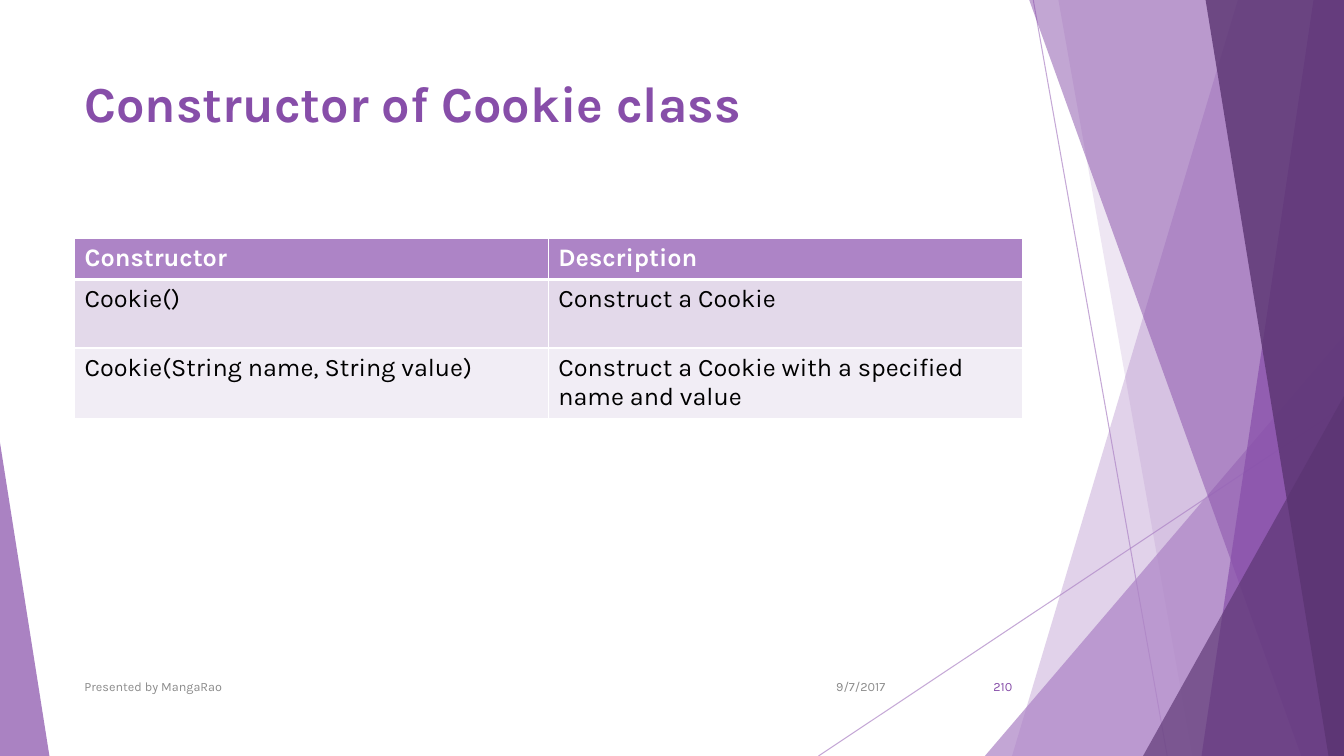
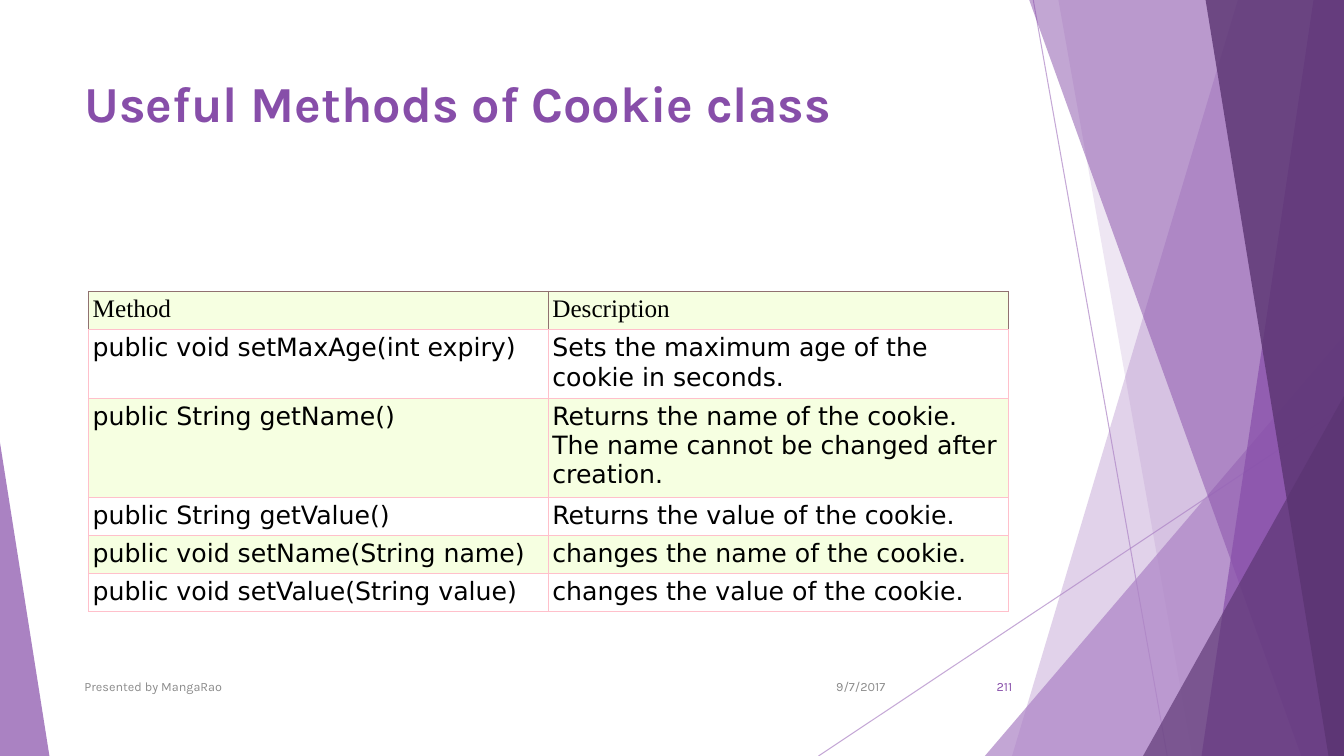
from dataclasses import dataclass

from lxml.etree import SubElement
from pptx import Presentation
from pptx.dml.color import RGBColor
from pptx.enum.shapes import MSO_CONNECTOR, MSO_SHAPE
from pptx.enum.text import MSO_ANCHOR, PP_ALIGN
from pptx.oxml.ns import qn
from pptx.slide import Slide
from pptx.table import _Cell
from pptx.text.text import TextFrame
from pptx.util import Emu, Inches, Pt

WIDE, HIGH = Inches(13.33), Inches(7.5)


@dataclass(frozen=True)
class Theme:
    light: str = "AD84C6"
    main: str = "874EA9"
    deep: str = "5A3471"
    white: str = "FFFFFF"
    black: str = "000000"
    gray: str = "8C8C8C"
    lilac: str = "E3D9EA"
    pale: str = "F1EDF5"
    lime: str = "F6FFE1"
    pink: str = "FFC0CB"
    brown: str = "907170"
    font: str = "Karla"
    serif: str = "Times New Roman"
    sans: str = "DejaVu Sans"
    title: int = 36
    body: int = 18
    small: int = 9


T = Theme()


# All places and lengths are percent shares of the slide's width or height.
@dataclass(frozen=True)
class Ray:
    start: tuple[float, float]
    end: tuple[float, float]


@dataclass(frozen=True)
class Band:
    """Area from a slanted left edge to the right side of the slide."""
    top: float
    foot: float
    color: str
    alpha: int


@dataclass(frozen=True)
class Wedge:
    """Triangle on the bottom edge, its apex at one end (0 left, 1 right)."""
    left: float
    top: float
    width: float
    apex: int
    color: str
    alpha: int


@dataclass(frozen=True)
class Label:
    left: float
    width: float
    color: str
    align: PP_ALIGN


@dataclass(frozen=True)
class Edge:
    color: str
    width: float


@dataclass(frozen=True)
class Look:
    """Table format; bands holds the fills that body rows take in turn."""
    head: str
    bands: tuple[str, str]
    ink: str
    bold: bool
    fonts: tuple[str, str]
    line: Edge
    rim: Edge
    rule: Edge
    inset: tuple[float, float]


@dataclass(frozen=True)
class Grid:
    left: float
    top: float
    width: float
    rows: tuple[float, ...]
    cells: tuple[tuple[str, str], ...]
    look: Look


@dataclass(frozen=True)
class Page:
    title: str
    number: int
    grid: Grid


RAYS = (Ray((76.88, 0), (86.85, 100)), Ray((100, 53.73), (60.9, 100)))
DECOR = (
    Band(92.1, 75.3, T.light, 36),
    Band(78.75, 88.73, T.light, 20),
    Wedge(73.28, 44.4, 26.72, 1, T.light, 72),
    Band(76.58, 96.83, T.main, 50),
    Band(97.73, 89.4, T.main, 70),
    Band(89.7, 98.85, T.deep, 80),
    Wedge(85.05, 52.4, 14.95, 1, T.deep, 66),
    Wedge(0, 58.53, 3.68, 0, T.main, 70),
)
DATE = Label(59.1, 7.5, T.gray, PP_ALIGN.RIGHT)
NAME = Label(5.55, 51.68, T.gray, PP_ALIGN.LEFT)
NUMBER = Label(70.43, 5.63, T.main, PP_ALIGN.RIGHT)

THIN = Edge(T.white, 1)
ROSE = Edge(T.pink, 0.6)
PURPLE = Look(T.light, (T.lilac, T.pale), T.white, True, (T.font, T.font),
              THIN, THIN, Edge(T.white, 3), (0.1, 0.05))
GREEN = Look(T.lime, (T.white, T.lime), T.black, False, (T.serif, T.sans),
             ROSE, Edge(T.brown, 0.6), ROSE, (0.04, 0.04))

PAGES = (
    Page("Constructor of Cookie class", 210, Grid(
        5.55, 31.5, 70.5, (5.47, 9.07, 9.07), (
            ("Constructor", "Description"),
            ("Cookie()", "Construct a Cookie"),
            ("Cookie(String name, String value)",
             "Construct a Cookie with a specified name and value"),
        ), PURPLE)),
    Page("Useful Methods of Cookie class", 211, Grid(
        6.6, 38.53, 68.4, (4.8, 8.8, 12.67, 4.93, 4.93, 4.93), (
            ("Method", "Description"),
            ("public void setMaxAge(int expiry)",
             "Sets the maximum age of the cookie in seconds."),
            ("public String getName()",
             "Returns the name of the cookie. "
             "The name cannot be changed after creation."),
            ("public String getValue()", "Returns the value of the cookie."),
            ("public void setName(String name)",
             "changes the name of the cookie."),
            ("public void setValue(String value)",
             "changes the value of the cookie."),
        ), GREEN)),
)


def across(share: float) -> Emu:
    return Emu(round(WIDE * share / 100))


def down(share: float) -> Emu:
    return Emu(round(HIGH * share / 100))


def tint(shape, alpha: int) -> None:
    """Make every plain colour of a shape see-through."""
    for color in shape._element.iter(qn("a:srgbClr")):
        SubElement(color, qn("a:alpha"), val=str(alpha * 1000))


def write(frame: TextFrame, text: str, *, size: int, color: str,
          font: str = T.font, bold: bool = False,
          align: PP_ALIGN = PP_ALIGN.LEFT) -> None:
    para = frame.paragraphs[0]
    para.alignment = align
    run = para.add_run()
    run.text = text
    run.font.name, run.font.size, run.font.bold = font, Pt(size), bold
    run.font.color.rgb = RGBColor.from_string(color)


def box(slide: Slide, left: float, top: float, width: float, height: float,
        anchor: MSO_ANCHOR) -> TextFrame:
    frame = slide.shapes.add_textbox(across(left), down(top), across(width),
                                     down(height)).text_frame
    frame.word_wrap = True
    frame.vertical_anchor = anchor
    return frame


def draw_ray(slide: Slide, ray: Ray) -> None:
    (x, y), (u, v) = ray.start, ray.end
    line = slide.shapes.add_connector(MSO_CONNECTOR.STRAIGHT, across(x),
                                      down(y), across(u), down(v))
    line.line.color.rgb = RGBColor.from_string(T.light)
    line.line.width = Pt(0.75)
    tint(line, 70)
    SubElement(line._element.spPr, qn("a:effectLst"))


def draw_decor(slide: Slide, part: Band | Wedge) -> None:
    if isinstance(part, Band):
        pen = slide.shapes.build_freeform(across(part.top), 0)
        pen.add_line_segments([(WIDE, 0), (WIDE, HIGH),
                               (across(part.foot), HIGH)], close=True)
        shape = pen.convert_to_shape()
    else:
        shape = slide.shapes.add_shape(
            MSO_SHAPE.ISOSCELES_TRIANGLE, across(part.left), down(part.top),
            across(part.width), down(100 - part.top))
        shape.adjustments[0] = part.apex
    shape.shadow.inherit = False
    shape.line.fill.background()
    shape.fill.solid()
    shape.fill.fore_color.rgb = RGBColor.from_string(part.color)
    tint(shape, part.alpha)


def outline(cell: _Cell, edges: dict[str, Edge]) -> None:
    props = cell._tc.get_or_add_tcPr()
    for side, edge in edges.items():
        line = SubElement(props, qn(f"a:ln{side}"), w=str(Pt(edge.width)))
        fill = SubElement(line, qn("a:solidFill"))
        SubElement(fill, qn("a:srgbClr"), val=edge.color)


def draw_grid(slide: Slide, grid: Grid) -> None:
    look = grid.look
    table = slide.shapes.add_table(
        len(grid.rows), 2, across(grid.left), down(grid.top),
        across(grid.width), down(sum(grid.rows))).table
    table.first_row = table.horz_banding = False
    for row, height in enumerate(grid.rows):
        table.rows[row].height = down(height)
        head = row == 0
        side = look.rim if head else look.line
        edges = {"L": side, "R": side,
                 "T": look.rim if head else
                 look.rule if row == 1 else look.line,
                 "B": look.rule if head else look.line}
        for col, text in enumerate(grid.cells[row]):
            cell = table.cell(row, col)
            outline(cell, edges)
            cell.fill.solid()
            cell.fill.fore_color.rgb = RGBColor.from_string(
                look.head if head else look.bands[(row - 1) % 2])
            cell.margin_left = cell.margin_right = Inches(look.inset[0])
            cell.margin_top = cell.margin_bottom = Inches(look.inset[1])
            write(cell.text_frame, text, size=T.body,
                  color=look.ink if head else T.black,
                  font=look.fonts[0 if head else 1],
                  bold=head and look.bold)


def draw_foot(slide: Slide, label: Label, text: str) -> None:
    frame = box(slide, label.left, 88.13, label.width, 5.33,
                MSO_ANCHOR.MIDDLE)
    write(frame, text, size=T.small, color=label.color, align=label.align)


def draw_page(slide: Slide, page: Page) -> None:
    for ray in RAYS:
        draw_ray(slide, ray)
    for part in DECOR:
        draw_decor(slide, part)
    write(box(slide, 5.55, 8.93, 70.5, 19.2, MSO_ANCHOR.TOP), page.title,
          size=T.title, color=T.main, bold=True)
    draw_grid(slide, page.grid)
    draw_foot(slide, DATE, "9/7/2017")
    draw_foot(slide, NAME, "Presented by MangaRao")
    draw_foot(slide, NUMBER, str(page.number))


def main() -> None:
    deck = Presentation()
    deck.slide_width, deck.slide_height = WIDE, HIGH
    for page in PAGES:
        draw_page(deck.slides.add_slide(deck.slide_layouts[6]), page)
    deck.save("out.pptx")


if __name__ == "__main__":
    main()
